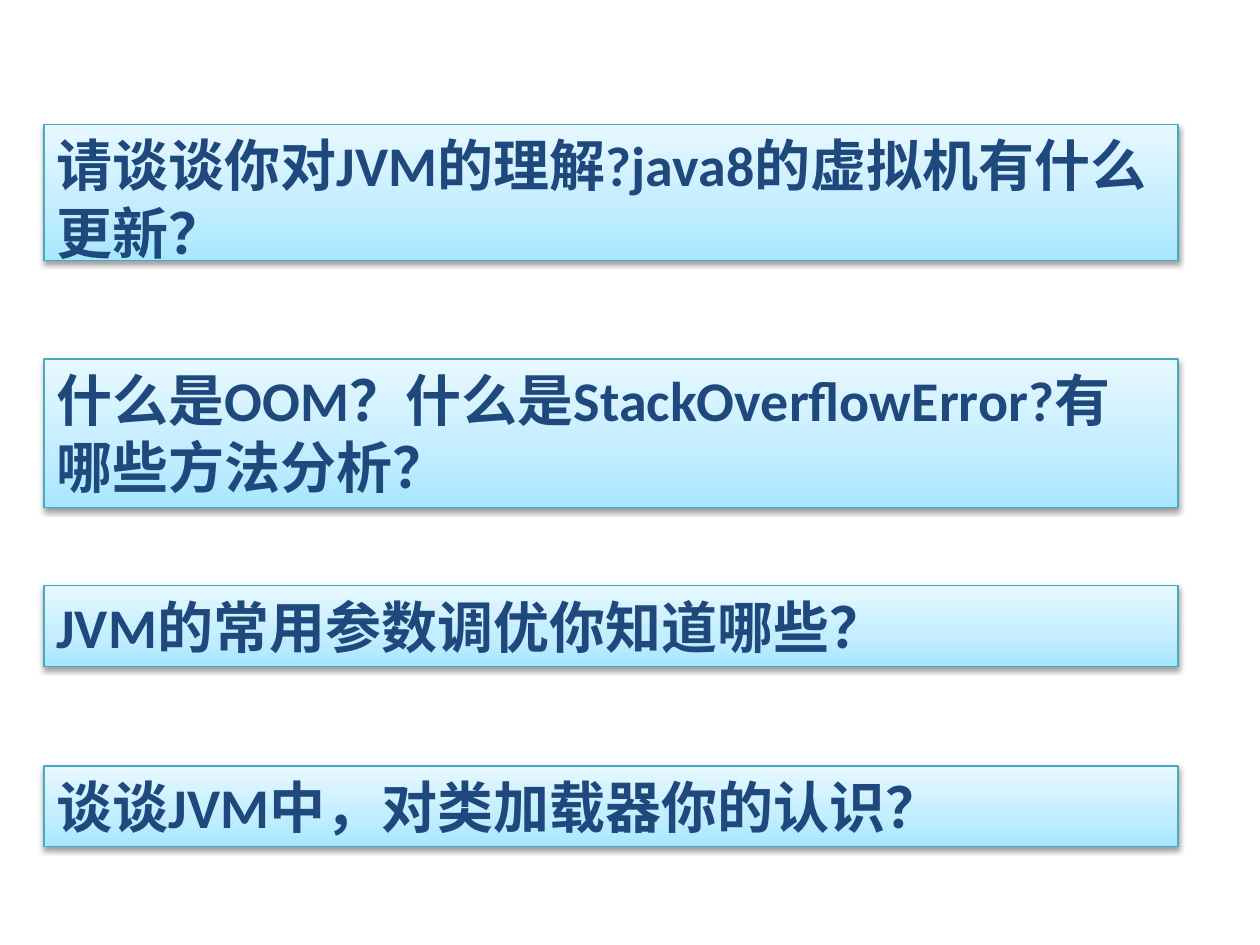
from copy import deepcopy

from lxml.etree import SubElement
from pptx import Presentation
from pptx.dml.color import RGBColor
from pptx.enum.lang import MSO_LANGUAGE_ID as Language
from pptx.enum.shapes import MSO_SHAPE as Shape
from pptx.enum.text import MSO_ANCHOR as Anchor, PP_ALIGN as Align
from pptx.oxml.ns import qn
from pptx.util import Inches, Pt

COLORS = {
    "bottom": "A7E6FF",
    "middle": "C1EDFF",
    "top": "E7F8FF",
    "border": "46AAC5",
    "text": "1F497D",
    "shadow": "000000",
}
QUESTION_FONT = {
    "name": "Calibri",
    "size": Pt(32),
    "bold": True,
    "language_id": Language.SIMPLIFIED_CHINESE,
}
QUESTIONS = [
    ("请谈谈你对JVM的理解?java8的虚拟机有什么更新？", 0.99, 1.08),
    ("什么是OOM？什么是StackOverflowError?有哪些方法分析？", 2.85, 1.18),
    ("JVM的常用参数调优你知道哪些？", 4.65, 0.64),
    ("谈谈JVM中，对类加载器你的认识？", 6.08, 0.64),
]


def rgb(name):
    return RGBColor.from_string(COLORS[name])


def paint_gradient(panel):
    panel.fill.gradient()
    panel.fill.gradient_angle = 90
    stop_list = panel._element.spPr.find(qn("a:gradFill")).find(qn("a:gsLst"))
    stop_list.insert(1, deepcopy(stop_list[0]))
    shades = [("bottom", 0), ("middle", 0.35), ("top", 1)]
    for stop, (shade, position) in zip(panel.fill.gradient_stops, shades):
        stop.color.rgb = rgb(shade)
        stop.position = position


def add_shadow(panel):
    panel.shadow.inherit = False
    effects = panel._element.spPr.find(qn("a:effectLst"))
    shadow = SubElement(
        effects, qn("a:outerShdw"), blurRad=str(Pt(3.1)), dist=str(Pt(1.6)),
        dir="5400000", rotWithShape="0",
    )
    tint = SubElement(shadow, qn("a:srgbClr"), val=COLORS["shadow"])
    SubElement(tint, qn("a:alpha"), val="38000")


def write_question(panel, question):
    frame = panel.text_frame
    frame.word_wrap = True
    frame.vertical_anchor = Anchor.TOP
    paragraph = frame.paragraphs[0]
    paragraph.alignment = Align.LEFT
    run = paragraph.add_run()
    run.text = question
    for attribute, value in QUESTION_FONT.items():
        setattr(run.font, attribute, value)
    run.font.color.rgb = rgb("text")


def add_question(slide, question, top, height):
    panel = slide.shapes.add_shape(
        Shape.RECTANGLE, Inches(0.35), Inches(top), Inches(9), Inches(height)
    )
    paint_gradient(panel)
    panel.line.color.rgb = rgb("border")
    panel.line.width = Pt(0.75)
    add_shadow(panel)
    write_question(panel, question)


def main():
    """Build the slide of JVM interview questions."""
    deck = Presentation()
    deck.slide_width, deck.slide_height = Inches(10), Inches(7.5)
    slide = deck.slides.add_slide(deck.slide_layouts[6])
    for question, top, height in QUESTIONS:
        add_question(slide, question, top, height)
    deck.save("out.pptx")


if __name__ == "__main__":
    main()
